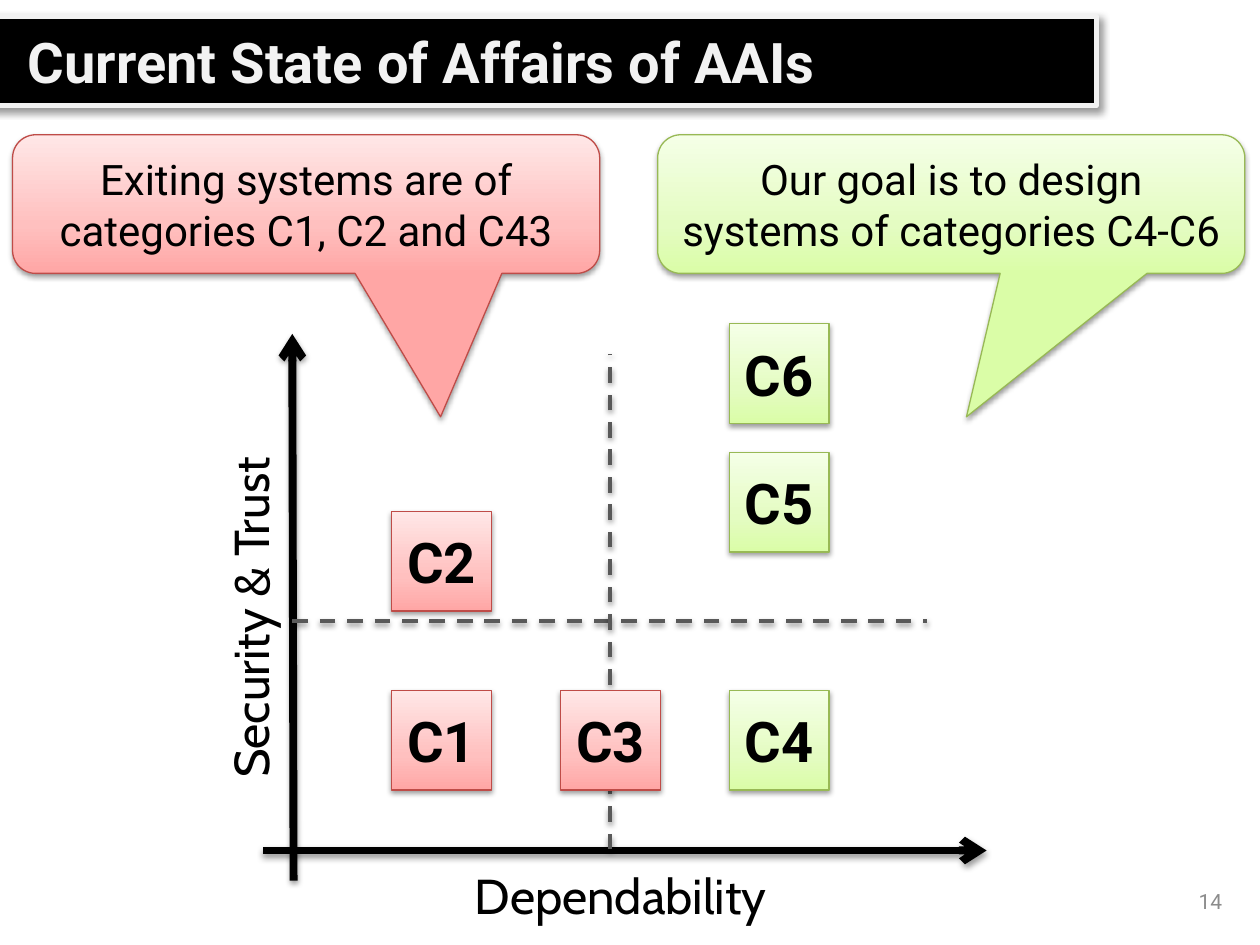
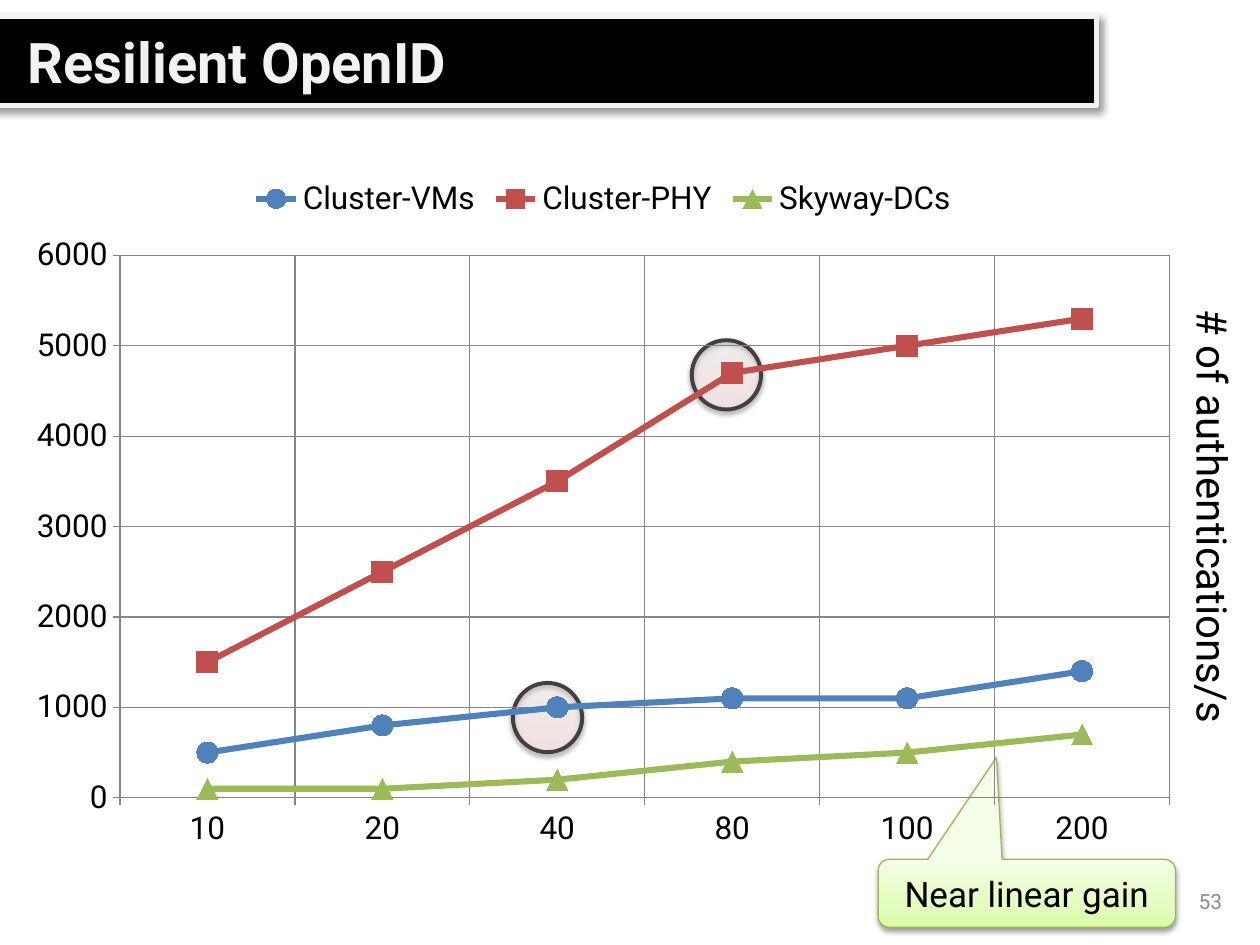
from lxml import etree
from pptx import Presentation
from pptx.chart.data import CategoryChartData
from pptx.dml.color import RGBColor
from pptx.enum.chart import XL_CHART_TYPE as ChartType, XL_LEGEND_POSITION as LegendPosition
from pptx.enum.chart import XL_MARKER_STYLE as Marker, XL_TICK_MARK as TickMark
from pptx.enum.dml import MSO_LINE
from pptx.enum.shapes import MSO_CONNECTOR, MSO_SHAPE
from pptx.enum.text import MSO_ANCHOR, MSO_AUTO_SIZE, PP_ALIGN
from pptx.oxml.ns import qn
from pptx.util import Inches, Pt

BODY_FONT = "Roboto"
AXIS_FONT = "Cabin"
BLACK, OFF_WHITE, GREY = "000000", "F2F2F2", "8C8C8C"
RED = {"stops": [(0, "FFA6A5"), (35, "FFC0BF"), (100, "FFE7E7")], "line": "BF4C48"}
GREEN = {"stops": [(0, "DAFDA7"), (35, "E4FCC2"), (100, "F5FFE7")], "line": "98B955"}


def color(value):
    """Turn a hex string into an RGB colour."""
    return RGBColor.from_string(value)


def add_element(parent, tag, **attributes):
    """Append a child element with the given attributes."""
    element = etree.SubElement(parent, qn(tag))
    for name, value in attributes.items():
        element.set(name, str(value))
    return element


def set_line(line, value, width):
    """Give an outline its colour and its width in points."""
    line.color.rgb = color(value)
    line.width = Pt(width)


def add_shadow(shape, alpha=38, blur=3.1, distance=1.6, angle=90):
    """Give a shape or connector an outer black shadow."""
    effects = add_element(shape._element.spPr, "a:effectLst")
    shadow = add_element(effects, "a:outerShdw", blurRad=Pt(blur), dist=Pt(distance),
                         dir=angle * 60000, rotWithShape=0)
    black = add_element(shadow, "a:srgbClr", val=BLACK)
    add_element(black, "a:alpha", val=alpha * 1000)


def fill_gradient(shape, stops, opacity=100):
    """Fill a shape with a gradient that runs from bottom to top."""
    gradient = etree.Element(qn("a:gradFill"))
    stop_list = add_element(gradient, "a:gsLst")
    for position, value in stops:
        stop = add_element(stop_list, "a:gs", pos=position * 1000)
        stop_color = add_element(stop, "a:srgbClr", val=value)
        if opacity < 100:
            add_element(stop_color, "a:alpha", val=opacity * 1000)
    add_element(gradient, "a:lin", ang=270 * 60000, scaled=0)
    shape._element.spPr.find(qn("a:prstGeom")).addnext(gradient)


def write(shape, text, size, value=BLACK, font=BODY_FONT, bold=False,
          align=PP_ALIGN.CENTER, anchor=MSO_ANCHOR.MIDDLE):
    """Write one formatted paragraph into a shape."""
    frame = shape.text_frame
    frame.word_wrap = True
    frame.auto_size = MSO_AUTO_SIZE.NONE
    frame.vertical_anchor = anchor
    frame.text = text
    paragraph = frame.paragraphs[0]
    paragraph.alignment = align
    paragraph.font.name = font
    paragraph.font.size = Pt(size)
    paragraph.font.bold = bold
    paragraph.font.color.rgb = color(value)
    return paragraph


def add_text(slide, box, text, size, rotation=0, **style):
    """Add a text box, rotated if asked."""
    shape = slide.shapes.add_textbox(*map(Inches, box))
    shape.rotation = rotation
    write(shape, text, size, **style)


def add_tinted_shape(slide, kind, box, tint, line=None, width=0.75, opacity=100):
    """Add a preset shape with a gradient, an outline and a shadow."""
    shape = slide.shapes.add_shape(kind, *map(Inches, box))
    fill_gradient(shape, tint["stops"], opacity)
    set_line(shape.line, line or tint["line"], width)
    add_shadow(shape)
    return shape


def add_callout(slide, box, tint, pointer, text, size):
    """Add a rounded callout whose pointer is relative to its centre."""
    shape = add_tinted_shape(slide, MSO_SHAPE.ROUNDED_RECTANGULAR_CALLOUT, box, tint)
    shape.adjustments[0], shape.adjustments[1] = pointer
    write(shape, text, size)


def add_line(slide, start, end, value, width, dashed=False):
    """Add a dashed line, or a solid line with an arrowhead."""
    points = map(Inches, (*start, *end))
    connector = slide.shapes.add_connector(MSO_CONNECTOR.STRAIGHT, *points)
    set_line(connector.line, value, width)
    if dashed:
        connector.line.dash_style = MSO_LINE.DASH
    else:
        add_element(connector.line._get_or_add_ln(), "a:tailEnd", type="arrow")
    add_shadow(connector)


def add_title_slide_frame(presentation, title, number):
    """Add a slide with the black title band and the page number."""
    slide = presentation.slides.add_slide(presentation.slide_layouts[5])
    band = slide.shapes.title
    band.left, band.top, band.width, band.height = map(Inches, (-0.38, 0.13, 9.08, 0.71))
    geometry = add_element(band._element.spPr, "a:prstGeom", prst="round2DiagRect")
    add_element(geometry, "a:avLst")
    band.fill.solid()
    band.fill.fore_color.rgb = color(BLACK)
    set_line(band.line, OFF_WHITE, 3)
    add_shadow(band, 40, 4, 3, 45)
    paragraph = write(band, title, 32, OFF_WHITE, bold=True, align=PP_ALIGN.LEFT)
    properties = paragraph._p.get_or_add_pPr()
    properties.set("marL", str(Inches(0.5)))
    properties.set("indent", "0")
    add_text(slide, (7.47, 6.95, 2.33, 0.4), number, 12, value=GREY, align=PP_ALIGN.RIGHT)
    return slide


def add_quadrants(slide, left, top):
    """Draw the axes, the dividers and the category squares."""
    def at(x, y):
        return left + x, top + y

    add_line(slide, at(0, 4.18), at(5.74, 4.18), BLACK, 4.5)
    add_line(slide, at(0.24, 4.42), at(0.23, 0.08), BLACK, 4.5)
    add_line(slide, at(0.23, 2.36), at(5.27, 2.36), "595959", 2.25, dashed=True)
    add_line(slide, at(2.75, 4.17), at(2.75, 0.24), "595959", 2.25, dashed=True)
    add_text(slide, (*at(0.63, 4.25), 4.41, 0.63), "Dependability", 28,
             font=AXIS_FONT, anchor=MSO_ANCHOR.TOP)
    add_text(slide, (*at(-1.81, 1.73), 3.39, 0.55), "Security & Trust", 28, rotation=270,
             font=AXIS_FONT, align=PP_ALIGN.LEFT, anchor=MSO_ANCHOR.TOP)
    squares = [("C1", 0, 2.91, RED), ("C2", 0, 1.49, RED), ("C3", 1, 2.91, RED),
               ("C4", 2, 2.91, GREEN), ("C6", 2, 0, GREEN), ("C5", 2, 1.02, GREEN)]
    for name, column, y, tint in squares:
        box = (*at(1.02 + 1.34 * column, y), 0.79, 0.79)
        write(add_tinted_shape(slide, MSO_SHAPE.RECTANGLE, box, tint), name, 32, bold=True)


def format_axis(axis):
    """Give a chart axis its grid, ticks and label size."""
    axis.has_major_gridlines = True
    axis.major_tick_mark = TickMark.OUTSIDE
    axis.minor_tick_mark = TickMark.NONE
    axis.tick_labels.font.size = Pt(18)
    for line in (axis.format.line, axis.major_gridlines.format.line):
        set_line(line, "868686", 0.75)


def set_plot_area(chart, **fractions):
    """Fix the inner plot area as fractions of the chart."""
    plot_area = chart._chartSpace.chart.plotArea
    for old in plot_area.findall(qn("c:layout")):
        plot_area.remove(old)
    layout = etree.Element(qn("c:layout"))
    plot_area.insert(0, layout)
    manual = add_element(layout, "c:manualLayout")
    add_element(manual, "c:layoutTarget", val="inner")
    for mode in ("xMode", "yMode"):
        add_element(manual, f"c:{mode}", val="edge")
    for name, fraction in fractions.items():
        add_element(manual, f"c:{name}", val=fraction)


def add_throughput_chart(slide, box):
    """Add the line chart of authentications per second."""
    series_styles = [
        ("Cluster-VMs", (500, 800, 1000, 1100, 1100, 1400), "4F81BD", Marker.CIRCLE),
        ("Cluster-PHY", (1500, 2500, 3500, 4700, 5000, 5300), "C0504D", Marker.SQUARE),
        ("Skyway-DCs", (100, 100, 200, 400, 500, 700), "9BBB59", Marker.TRIANGLE),
    ]
    data = CategoryChartData(number_format="0")
    data.categories = ["10", "20", "40", "80", "100", "200"]
    for name, values, _, _ in series_styles:
        data.add_series(name, values)
    chart = slide.shapes.add_chart(ChartType.LINE_MARKERS, *map(Inches, box), data).chart
    chart.has_title = False
    chart.font.name = BODY_FONT
    chart.font.size = Pt(10)
    chart.font.color.rgb = color(BLACK)
    chart.has_legend = True
    chart.legend.position = LegendPosition.TOP
    chart.legend.include_in_layout = False
    chart.legend.font.size = Pt(18)
    chart.plots[0].vary_by_categories = False
    format_axis(chart.category_axis)
    format_axis(chart.value_axis)
    chart.value_axis.minimum_scale = 0
    chart.value_axis.maximum_scale = 6000
    chart.value_axis.major_unit = 1000
    set_plot_area(chart, x=0.09, y=0.13, w=0.89, h=0.78)
    for series, (_, _, value, marker) in zip(chart.plots[0].series, series_styles):
        series.smooth = False
        set_line(series.format.line, value, 3.5)
        series.marker.style = marker
        series.marker.size = 12
        series.marker.format.fill.solid()
        series.marker.format.fill.fore_color.rgb = color(value)
        series.marker.format.line.color.rgb = color(value)


def build_affairs_slide(presentation):
    """Build the slide that places the categories on two axes."""
    slide = add_title_slide_frame(presentation, "Current State of Affairs of AAIs", "14")
    add_quadrants(slide, 2.09, 2.57)
    add_callout(slide, (0.1, 1.07, 4.66, 1.1), RED, (0.229, 1.535),
                "Exiting systems are of categories C1, C2 and C43", 24)
    add_callout(slide, (5.22, 1.07, 4.66, 1.1), GREEN, (0.026, 1.535),
                "Our goal is to design systems of categories C4-C6", 24)


def build_throughput_slide(presentation):
    """Build the slide with the chart and its highlights."""
    slide = add_title_slide_frame(presentation, "Resilient OpenID", "53")
    add_callout(slide, (6.97, 6.82, 2.36, 0.54), GREEN, (-0.102, -1.996),
                "Near linear gain", 20)
    for left, top in ((4.07, 5.42), (5.49, 2.7)):
        add_tinted_shape(slide, MSO_SHAPE.OVAL, (left, top, 0.55, 0.55), RED,
                         line="404040", width=2.25, opacity=18)
    add_text(slide, (7.11, 3.85, 5.04, 0.5), "# of authentications/s", 24, rotation=90,
             anchor=MSO_ANCHOR.TOP)
    add_throughput_chart(slide, (0.11, 1.31, 9.36, 5.52))


def main():
    """Build both slides and save the presentation."""
    presentation = Presentation()
    presentation.slide_width, presentation.slide_height = Inches(10), Inches(7.5)
    build_affairs_slide(presentation)
    build_throughput_slide(presentation)
    presentation.save("out.pptx")


if __name__ == "__main__":
    main()
